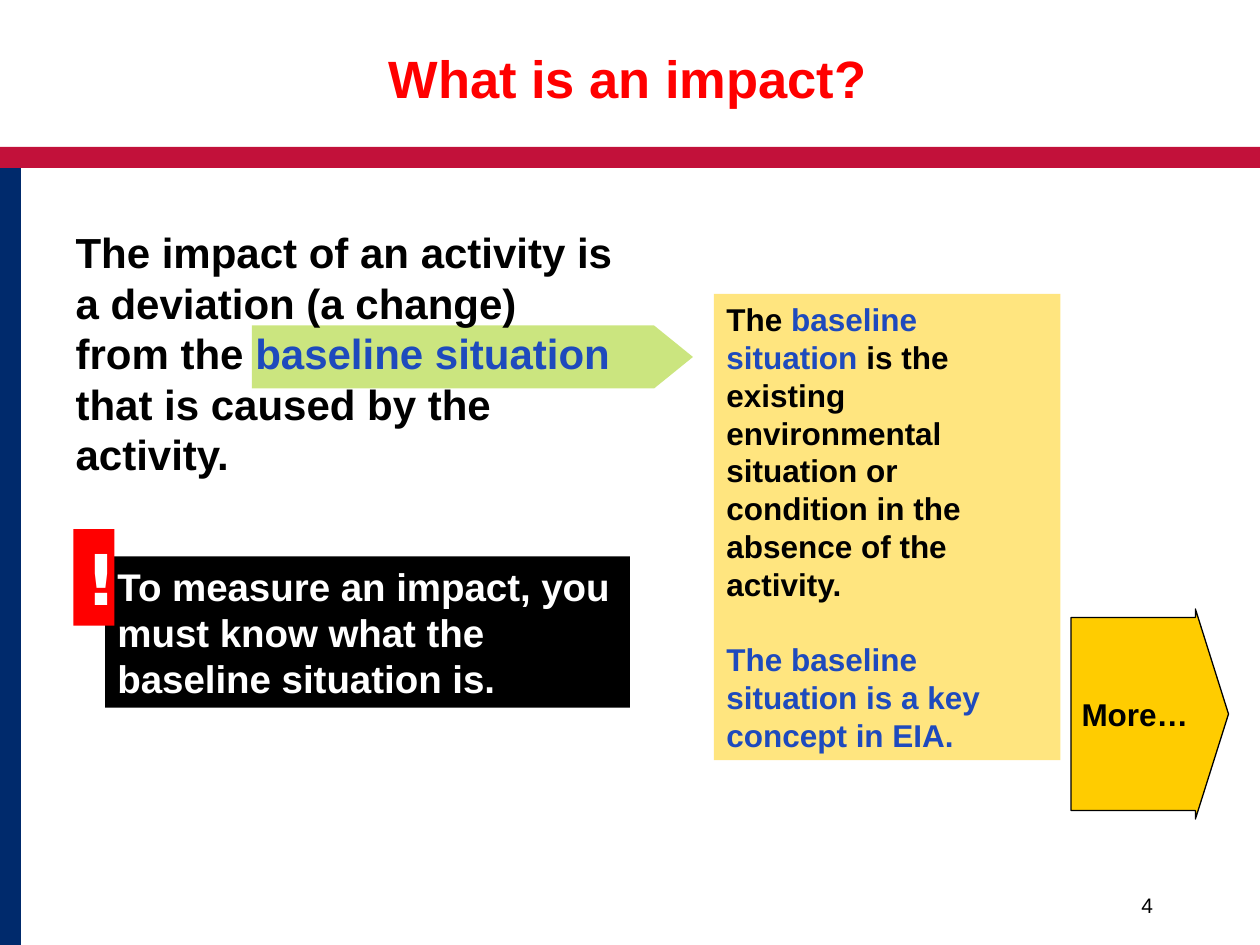
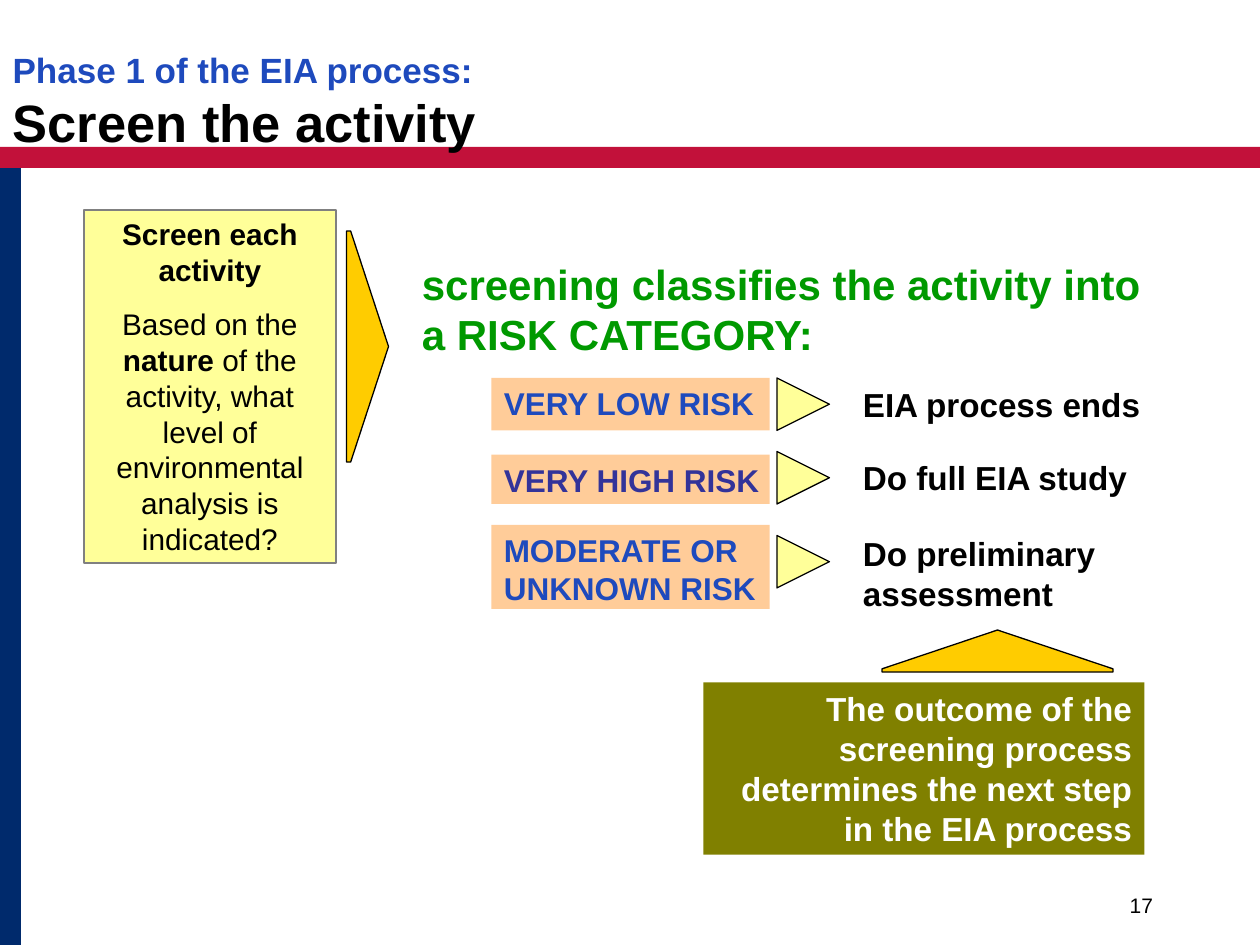
"""Build two slides on environmental impacts and activity screening."""
from dataclasses import dataclass
from typing import Optional

from lxml import etree
from pptx import Presentation
from pptx import util as u
from pptx.dml.color import RGBColor
from pptx.enum import shapes, text
from pptx.oxml import ns

EMU_PER_PX = 7620
INSETS = (12, 6, 12, 6)

RED, CRIMSON, NAVY, BLUE = "FF0000", "C2113A", "002A6C", "1E4ABD"
INDIGO, GREEN, LIME, OLIVE = "333399", "009900", "99CC00", "808000"
GOLD, PALE_YELLOW, PEACH = "FFCC00", "FFFF99", "FFCC99"
BLACK, WHITE, GREY = "000000", "FFFFFF", "808080"
LEFT, CENTER, RIGHT = text.PP_ALIGN.LEFT, text.PP_ALIGN.CENTER, text.PP_ALIGN.RIGHT


@dataclass
class Span:
    text: str
    size: int
    color: str = BLACK
    bold: bool = True
    font: str = "Arial"
    break_after: bool = False


@dataclass
class Para:
    spans: list[Span]
    align: int = LEFT
    before: float = 0
    after: float = 0


@dataclass
class Box:
    left: int
    top: int
    width: int
    height: int
    fill: Optional[str] = None
    line: Optional[str] = None
    line_width: float = 0.75
    alpha: int = 100
    kind: int = shapes.MSO_SHAPE.RECTANGLE


@dataclass
class RiskRow:
    label: str
    color: str
    label_top: int
    label_height: int
    pointer_top: int
    outcome: str
    outcome_top: int
    outcome_height: int


RISK_ROWS = [
    RiskRow("VERY LOW RISK", BLUE, 360, 50, 360, "EIA process ends", 360, 50),
    RiskRow("VERY HIGH RISK", INDIGO, 433, 47, 430, "Do full EIA study", 430, 50),
    RiskRow("MODERATE OR UNKNOWN RISK", BLUE, 500, 80, 510,
            "Do preliminary assessment", 502, 88),
]


def px(length: int) -> int:
    return u.Emu(length * EMU_PER_PX)


def rgb(color: str) -> RGBColor:
    return RGBColor.from_string(color)


def paint(shape, fill: str, line: Optional[str] = None, line_width: float = 0.75,
          alpha: int = 100) -> None:
    shape.shadow.inherit = False
    shape.fill.solid()
    shape.fill.fore_color.rgb = rgb(fill)
    if alpha < 100:
        tint = shape.element.spPr.find(ns.qn("a:solidFill"))[0]
        etree.SubElement(tint, ns.qn("a:alpha"), val=str(alpha * 1000))
    if line:
        shape.line.color.rgb = rgb(line)
        shape.line.width = u.Pt(line_width)
    else:
        shape.line.fill.background()


def write(shape, paras: list[Para], insets: tuple = INSETS,
          anchor: int = text.MSO_ANCHOR.TOP) -> None:
    frame = shape.text_frame
    frame.word_wrap = True
    frame.auto_size = text.MSO_AUTO_SIZE.NONE
    frame.vertical_anchor = anchor
    frame.margin_left, frame.margin_top, frame.margin_right, frame.margin_bottom = map(px, insets)
    for index, para in enumerate(paras):
        paragraph = frame.add_paragraph() if index else frame.paragraphs[0]
        paragraph.alignment = para.align
        paragraph.line_spacing = 1.0
        paragraph.space_before = u.Pt(para.before)
        paragraph.space_after = u.Pt(para.after)
        for span in para.spans:
            run = paragraph.add_run()
            run.text = span.text
            run.font.name = span.font
            run.font.size = u.Pt(span.size)
            run.font.bold = span.bold
            run.font.color.rgb = rgb(span.color)
            if span.break_after:
                paragraph.add_line_break()


def draw_box(page, box: Box, paras: Optional[list[Para]] = None, insets: tuple = INSETS,
             anchor: int = text.MSO_ANCHOR.TOP):
    place = [px(n) for n in (box.left, box.top, box.width, box.height)]
    if box.fill:
        shape = page.shapes.add_shape(box.kind, *place)
        paint(shape, box.fill, box.line, box.line_width, box.alpha)
    else:
        shape = page.shapes.add_textbox(*place)
    if paras:
        write(shape, paras, insets, anchor)
    return shape


def draw_outline(page, points: list[tuple[int, int]], fill: str,
                 line: Optional[str] = BLACK, alpha: int = 100) -> None:
    builder = page.shapes.build_freeform(*points[0], scale=EMU_PER_PX)
    builder.add_line_segments(points[1:])
    paint(builder.convert_to_shape(), fill, line, alpha=alpha)


def fill_placeholder(holder, box: Box, para: Para) -> None:
    """Move a placeholder to the front, place it and write its text."""
    holder.element.getparent().append(holder.element)
    holder.left, holder.top = px(box.left), px(box.top)
    holder.width, holder.height = px(box.width), px(box.height)
    write(holder, [para])


def start_page(deck, layout: int, number: int, title_box: Box, title: Para):
    page = deck.slides.add_slide(deck.slide_layouts[layout])
    draw_box(page, Box(0, 140, 1200, 20, CRIMSON))
    draw_box(page, Box(0, 160, 20, 740, NAVY))
    draw_box(page, Box(860, 820, 250, 60), [Para([Span(str(number), 12, bold=False)], RIGHT)],
             anchor=text.MSO_ANCHOR.BOTTOM)
    fill_placeholder(page.shapes.title, title_box, title)
    return page


def build_impact_page(deck) -> None:
    page = start_page(deck, 1, 4, Box(88, 38, 1020, 80),
                      Para([Span("What is an impact?", 30, RED)], CENTER))
    draw_outline(page, [(240, 310), (623, 310), (660, 340), (623, 370), (240, 370)],
                 LIME, None, 50)

    definition = page.placeholders[1]
    fill_placeholder(definition, Box(60, 210, 540, 260), Para([
        Span("The impact of an activity is a deviation (a change) from the ", 24),
        Span("baseline situation", 24, BLUE),
        Span(" that is caused by the activity.", 24)]))
    properties = definition.text_frame.paragraphs[0]._p.get_or_add_pPr()
    properties.set("marL", "0")
    properties.set("indent", "0")
    etree.SubElement(properties, ns.qn("a:buNone"))

    draw_box(page, Box(100, 530, 500, 144, BLACK), [Para([
        Span("To measure an impact, you must know what the baseline situation is.", 22, WHITE)])])
    draw_box(page, Box(70, 504, 39, 92, RED),
             [Para([Span("!", 40, WHITE, font="DejaVu Sans")])])
    draw_box(page, Box(680, 280, 330, 444, GOLD, alpha=50), [
        Para([Span("The ", 18), Span("baseline situation", 18, BLUE),
              Span(" is the existing environmental situation or condition"
                   " in the absence of the activity.", 18)]),
        Para([Span("The baseline situation is a key concept in EIA.", 18, BLUE)], before=21.6)])
    more = draw_box(page, Box(1020, 580, 150, 200, GOLD, BLACK,
                              kind=shapes.MSO_SHAPE.RIGHT_ARROW),
                    [Para([Span("More…", 18)])], (10, 6, 0, 6), text.MSO_ANCHOR.MIDDLE)
    more.adjustments[0], more.adjustments[1] = 0.92, 0.21


def build_screening_page(deck) -> None:
    page = start_page(deck, 5, 17, Box(0, 40, 1020, 80), Para([
        Span("Phase 1 of the EIA process:", 20, BLUE, break_after=True),
        Span("Screen the activity", 30)]))
    draw_box(page, Box(80, 200, 240, 336, PALE_YELLOW, GREY, 1), [
        Para([Span("Screen each activity", 17)], CENTER, after=10.6),
        Para([Span("Based on the ", 17, bold=False), Span("nature", 17),
              Span(" of the activity, what level of environmental analysis is indicated?",
                   17, bold=False)], CENTER)])
    draw_outline(page, [(330, 220), (334, 220), (370, 330), (334, 440), (330, 440)], GOLD)
    draw_box(page, Box(390, 240, 710, 108), [Para([
        Span("screening classifies the activity into a RISK CATEGORY:", 24, GREEN)])])

    for row in RISK_ROWS:
        draw_box(page, Box(468, row.label_top, 265, row.label_height, PEACH),
                 [Para([Span(row.label, 18, row.color)])], (12, 6, 0, 6))
        top = row.pointer_top
        draw_outline(page, [(740, top), (790, top + 25), (740, top + 50)], PALE_YELLOW)
        draw_box(page, Box(810, row.outcome_top, 330, row.outcome_height),
                 [Para([Span(row.outcome, 19)])])

    draw_box(page, Box(670, 650, 420, 164, OLIVE), [Para([
        Span("The outcome of the screening process determines the next step in the EIA process",
             19, WHITE)], RIGHT)])
    draw_outline(page, [(840, 640), (840, 637), (950, 600), (1060, 637), (1060, 640)], GOLD)


def main() -> None:
    deck = Presentation()
    deck.slide_width, deck.slide_height = px(1200), px(900)
    build_impact_page(deck)
    build_screening_page(deck)
    deck.save("out.pptx")


if __name__ == "__main__":
    main()
